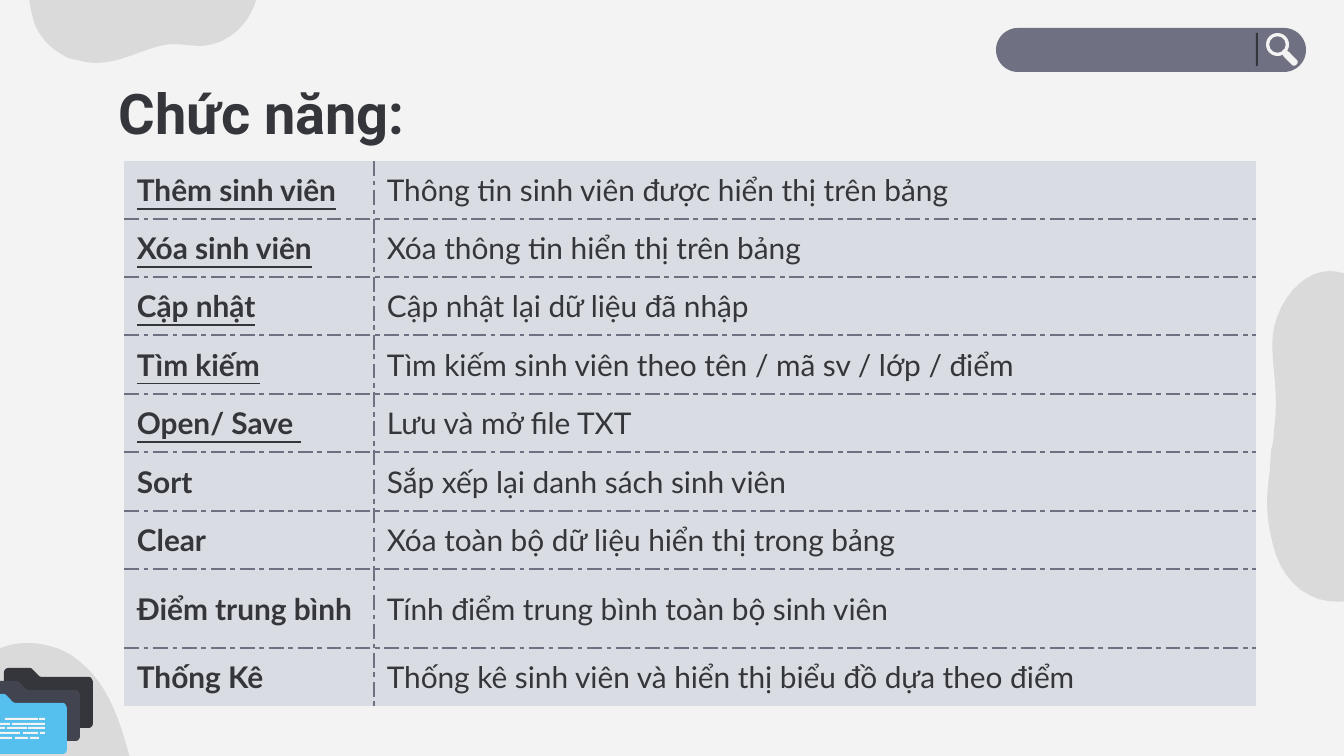
from lxml import etree
from pptx import Presentation
from pptx.dml.color import RGBColor
from pptx.enum.shapes import MSO_SHAPE
from pptx.enum.text import MSO_ANCHOR
from pptx.oxml.ns import qn
from pptx.util import Pt

EMU_PER_PX = 914400 / 134.4
CURVE_STEPS = 12
RECTANGLE = MSO_SHAPE.RECTANGLE
ROUNDED = MSO_SHAPE.ROUNDED_RECTANGLE
DONUT = MSO_SHAPE.DONUT
MIDDLE = MSO_ANCHOR.MIDDLE

BLACK = RGBColor(0x00, 0x00, 0x00)
PAPER = RGBColor(0xF3, 0xF3, 0xF3)
INK = RGBColor(0x35, 0x36, 0x3B)
CHARCOAL = RGBColor(0x42, 0x44, 0x4F)
SLATE = RGBColor(0x6F, 0x70, 0x82)
CELL_GREY = RGBColor(0xD9, 0xDD, 0xE3)
SKY = RGBColor(0x55, 0xC0, 0xED)

# Outlines: a start point, then segments of one point (line) or three (Bézier).
TOP_BLOB = [
    (63, 55),
    [(67, 58), (71, 59), (77, 60)], [(109, 70), (134, 52), (160, 46)],
    [(173, 42), (188, 46), (202, 46)], [(246, 43), (269, -7), (255, -39)],
    [(249, -56), (237, -70), (219, -79)], [(207, -86), (194, -90), (177, -94)],
    [(136, -103), (108, -110), (67, -90)], [(26, -70), (22, -17), (34, 22)],
    [(34, 22), (40, 43), (63, 55)],
]
CORNER_BLOB = [
    (40, 644),
    [(52, 646), (66, 650), (79, 661)], [(110, 685), (121, 726), (130, 758)],
    [(140, 792), (126, 820), (99, 831)], [(93, 833), (86, 833), (81, 833)],
    [(63, 831), (48, 816), (23, 810)], [(15, 809), (7, 808), (-1, 806)],
    [(-19, 804), (-30, 801), (-48, 784)], [(-75, 759), (-73, 711), (-44, 680)],
    [(-16, 648), (15, 644), (15, 644)], [(15, 644), (26, 642), (40, 644)],
]
RIGHT_BLOB = [
    (1452, 469),
    [(1454, 449), (1454, 426), (1448, 402)], [(1435, 345), (1396, 314), (1367, 288)],
    [(1337, 259), (1302, 269), (1282, 306)], [(1277, 317), (1274, 325), (1273, 335)],
    [(1270, 361), (1280, 390), (1274, 431)], [(1274, 438), (1273, 445), (1271, 450)],
    [(1271, 458), (1270, 464), (1270, 470)], [(1266, 499), (1265, 516), (1275, 552)],
    [(1291, 602), (1341, 617), (1384, 585)], [(1425, 552), (1442, 508), (1442, 508)],
    [(1442, 508), (1447, 492), (1452, 469)],
]
FOLDER = [
    (32, 669),
    [(39, 676)], [(40, 677), (42, 677), (43, 677)],
    [(89, 677)], [(91, 677), (93, 680), (93, 683)],
    [(93, 723)], [(93, 726), (91, 728), (89, 728)],
    [(9, 728)], [(6, 728), (4, 726), (4, 723)],
    [(4, 673)], [(4, 670), (6, 668), (9, 668)],
    [(28, 668)], [(30, 668), (31, 668), (32, 669)],
]
FOLDER_STEP = 13
# Top of each line of writing, with the left and right ends of its dashes.
FOLDER_WRITING = [
    (718, [(5, 38), (39, 45)]),
    (723, [(0, 10), (12, 45)]),
    (727, [(0, 5), (7, 27), (28, 45)]),
    (732, [(0, 20), (23, 38), (40, 45)]),
    (737, [(0, 12), (15, 28), (30, 39)]),
]

# Function, description, underlined
FEATURES = [
    ("Thêm sinh viên", "Thông tin sinh viên được hiển thị trên bảng", True),
    ("Xóa sinh viên", "Xóa thông tin hiển thị trên bảng", True),
    ("Cập nhật", "Cập nhật lại dữ liệu đã nhập", True),
    ("Tìm kiếm", "Tìm kiếm sinh viên theo tên / mã sv / lớp / điểm", True),
    ("Open/ Save ", "Lưu và mở file TXT", True),
    ("Sort", "Sắp xếp lại danh sách sinh viên", False),
    ("Clear", "Xóa toàn bộ dữ liệu hiển thị trong bảng", False),
    ("Điểm trung bình", "Tính điểm trung bình toàn bộ sinh viên", False),
    ("Thống Kê", "Thống kê sinh viên và hiển thị biểu đồ dựa theo điểm", False),
]
COLUMN_EDGES = [124, 374, 1256]
ROW_EDGES = [161, 219, 277, 335, 394, 452, 511, 569, 648, 706]
INSET = 13


def px(length):
    return round(length * EMU_PER_PX)


def paint(shape, color, alpha=None):
    shape.shadow.inherit = False
    shape.line.fill.background()
    shape.fill.solid()
    shape.fill.fore_color.rgb = color
    if alpha is not None:
        rgb = shape.element.spPr.find(".//" + qn("a:srgbClr"))
        etree.SubElement(rgb, qn("a:alpha"), val=str(alpha * 1000))


def flatten(outline):
    """Return the outline as points, with its Bézier segments sampled."""
    points = [outline[0]]
    for segment in outline[1:]:
        if len(segment) == 1:
            points += segment
            continue
        controls = [points[-1], *segment]
        for step in range(1, CURVE_STEPS + 1):
            t = step / CURVE_STEPS
            weights = ((1 - t) ** 3, 3 * t * (1 - t) ** 2, 3 * t * t * (1 - t), t ** 3)
            points.append(tuple(
                sum(w * point[axis] for w, point in zip(weights, controls))
                for axis in (0, 1)))
    return points


def add_outline(slide, contours, color, alpha=None):
    contours = [[(px(x), px(y)) for x, y in contour] for contour in contours]
    builder = slide.shapes.build_freeform(*contours[0][0], scale=1.0)
    for index, contour in enumerate(contours):
        if index:
            builder.move_to(*contour[0])
        builder.add_line_segments(contour[1:], close=True)
    paint(builder.convert_to_shape(), color, alpha)


def add_preset(slide, kind, box, color, adjustment=None, rotation=0):
    shape = slide.shapes.add_shape(kind, *map(px, box))
    if adjustment is not None:
        shape.adjustments[0] = adjustment
    shape.rotation = rotation
    paint(shape, color)


def add_search_bar(slide):
    add_preset(slide, ROUNDED, (996, 28, 310, 44), SLATE, 0.5)
    add_preset(slide, DONUT, (1266, 33, 23, 23), PAPER, 0.14)
    add_preset(slide, RECTANGLE, (1282, 51, 6, 3), PAPER, rotation=45)
    add_preset(slide, ROUNDED, (1282, 55, 17, 7), PAPER, 0.4, 45)
    add_preset(slide, RECTANGLE, (1256, 33, 2, 33), INK)


def add_folders(slide):
    folder = flatten(FOLDER)
    for index, color in enumerate((INK, CHARCOAL, SKY)):
        shift = index * FOLDER_STEP
        add_outline(slide, [[(x - shift, y + shift) for x, y in folder]], color)
    dashes = [[(left, top), (right, top), (right, top + 2), (left, top + 2)]
              for top, spans in FOLDER_WRITING for left, right in spans]
    add_outline(slide, dashes, PAPER)


def style_font(font, name, size, bold, underline=False):
    font.name = name
    font.size = Pt(size)
    font.bold = bold
    font.underline = underline
    font.color.rgb = INK


def add_title(slide, text):
    frame = slide.shapes.add_textbox(px(106), px(66), px(1133), px(85)).text_frame
    frame.word_wrap = True
    frame.margin_left = frame.margin_right = px(INSET)
    frame.margin_top = frame.margin_bottom = px(INSET)
    frame.text = text
    style_font(frame.paragraphs[0].font, "Roboto", 30, True)


def set_borders(cell, inner_sides):
    """Draw dash-dot lines on the inner sides and clear the others."""
    properties = cell._tc.get_or_add_tcPr()
    for index, side in enumerate("LRTB"):
        line = etree.Element(qn("a:ln" + side), w=str(Pt(0.75)))
        if side in inner_sides:
            fill = etree.SubElement(line, qn("a:solidFill"))
            etree.SubElement(fill, qn("a:srgbClr"), val=str(SLATE))
            etree.SubElement(line, qn("a:prstDash"), val="dashDot")
        else:
            etree.SubElement(line, qn("a:noFill"))
        properties.insert(index, line)


def fill_cell(cell, text, bold, underline, inner_sides):
    cell.text = text
    cell.vertical_anchor = MIDDLE
    cell.margin_left = cell.margin_right = px(INSET)
    cell.margin_top = cell.margin_bottom = 0
    cell.fill.solid()
    cell.fill.fore_color.rgb = CELL_GREY
    style_font(cell.text_frame.paragraphs[0].font, "Lato", 16, bold, underline)
    set_borders(cell, inner_sides)


def add_feature_table(slide):
    left, top = COLUMN_EDGES[0], ROW_EDGES[0]
    table = slide.shapes.add_table(
        len(FEATURES), 2, px(left), px(top),
        px(COLUMN_EDGES[-1] - left), px(ROW_EDGES[-1] - top)).table
    table.first_row = table.horz_banding = False
    for lines, edges in ((table.columns, COLUMN_EDGES), (table.rows, ROW_EDGES)):
        for line, start, end in zip(lines, edges, edges[1:]):
            if lines is table.columns or edges is COLUMN_EDGES:
                line.width = px(end - start)
            else:
                line.height = px(end - start)
    last = len(FEATURES) - 1
    for row, (feature, description, underline) in enumerate(FEATURES):
        sides = ("T" if row > 0 else "") + ("B" if row < last else "")
        fill_cell(table.cell(row, 0), feature, True, underline, sides + "R")
        fill_cell(table.cell(row, 1), description, False, False, sides + "L")


def main():
    presentation = Presentation()
    presentation.slide_width, presentation.slide_height = px(1344), px(756)
    slide = presentation.slides.add_slide(presentation.slide_layouts[6])
    slide.background.fill.solid()
    slide.background.fill.fore_color.rgb = PAPER
    for blob in (TOP_BLOB, CORNER_BLOB, RIGHT_BLOB):
        add_outline(slide, [flatten(blob)], BLACK, alpha=10)
    add_search_bar(slide)
    add_folders(slide)
    add_title(slide, "Chức năng:")
    add_feature_table(slide)
    presentation.save("out.pptx")


if __name__ == "__main__":
    main()
